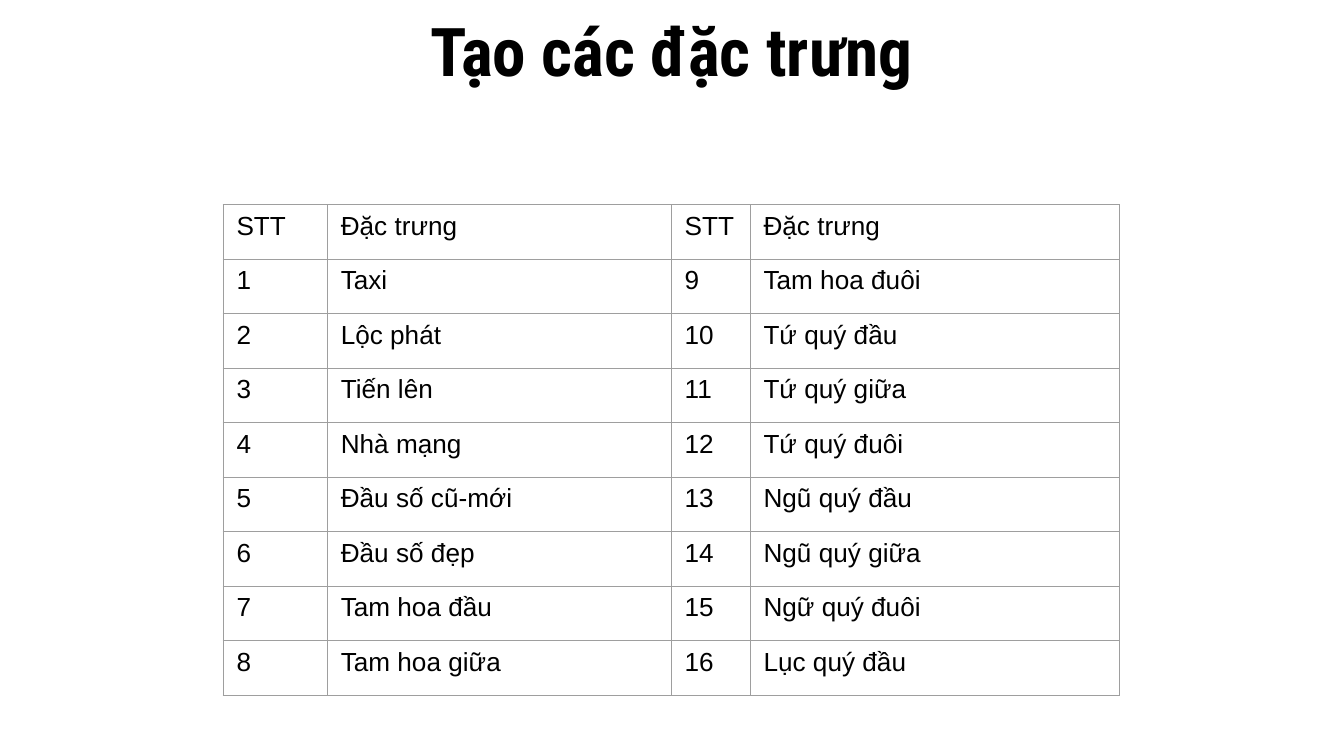
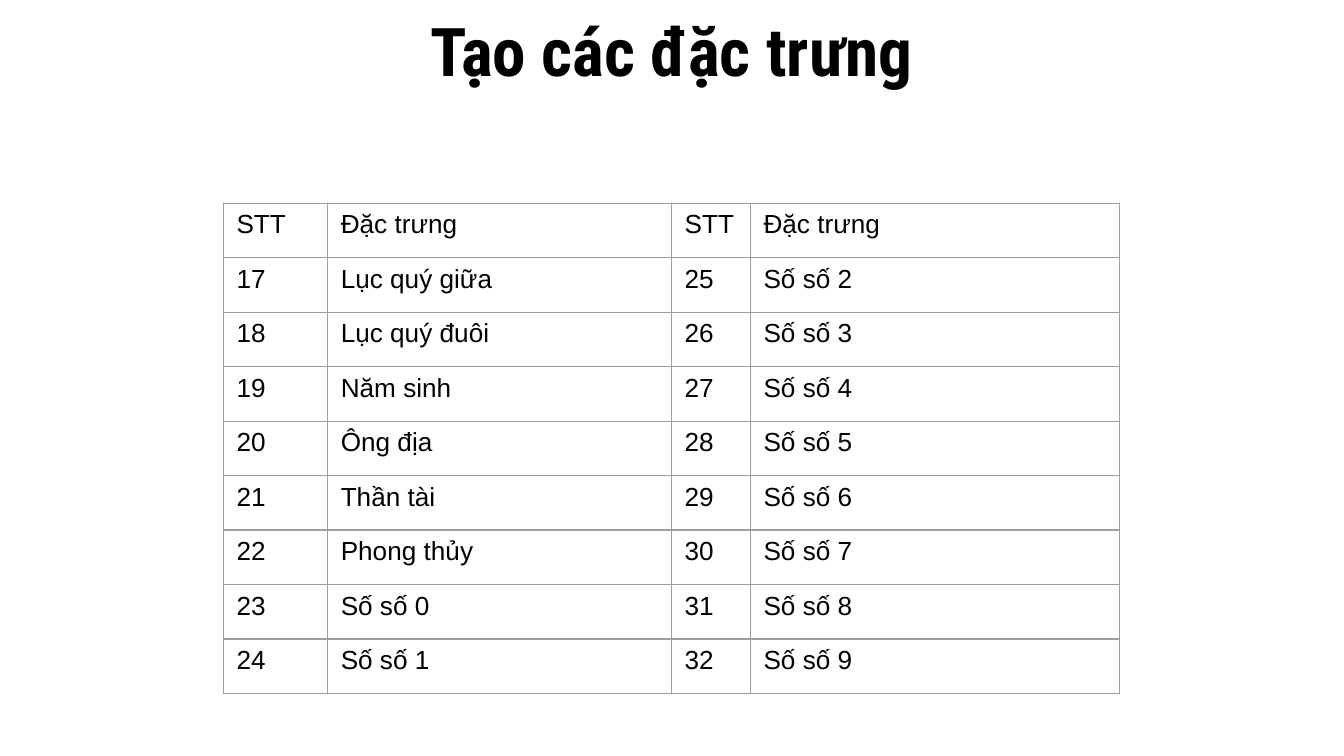
from lxml import etree
from pptx import Presentation
from pptx.dml.color import RGBColor
from pptx.enum.text import MSO_ANCHOR, MSO_AUTO_SIZE, PP_ALIGN
from pptx.oxml.ns import qn
from pptx.util import Cm, Pt

LEFT, CENTER = PP_ALIGN.LEFT, PP_ALIGN.CENTER
TOP, MIDDLE = MSO_ANCHOR.TOP, MSO_ANCHOR.MIDDLE
NO_FIT = MSO_AUTO_SIZE.NONE

BLACK = RGBColor(0x00, 0x00, 0x00)
GREY = RGBColor(0x9E, 0x9E, 0x9E)
TITLE_FONT = "Roboto Condensed"
BODY_FONT = "Arial"
TITLE = "Tạo các đặc trưng"
HEADERS = ["STT", "Đặc trưng"]
COL_WIDTHS = [1.97, 6.5, 1.49, 6.98]
ROW_HEIGHT = 1.03
TITLE_BOX = (7.47, 0.41, 10.44, 1.04)

FEATURE_SLIDES = [
    (1, 3.87, [
        "Taxi", "Lộc phát", "Tiến lên", "Nhà mạng",
        "Đầu số cũ-mới", "Đầu số đẹp", "Tam hoa đầu", "Tam hoa giữa",
        "Tam hoa đuôi", "Tứ quý đầu", "Tứ quý giữa", "Tứ quý đuôi",
        "Ngũ quý đầu", "Ngũ quý giữa", "Ngữ quý đuôi", "Lục quý đầu",
    ]),
    (17, 3.84, [
        "Lục quý giữa", "Lục quý đuôi", "Năm sinh", "Ông địa",
        "Thần tài", "Phong thủy",
    ] + [f"Số số {digit}" for digit in range(10)]),
]


def write(tf, text, font=BODY_FONT, size=14, bold=False, align=LEFT):
    p = tf.paragraphs[0]
    p.alignment = align
    r = p.add_run()
    r.text = text
    r.font.name = font
    r.font.size = Pt(size)
    r.font.bold = bold
    r.font.color.rgb = BLACK


def add_title(s, left, top, width, height):
    sp = s.shapes.title
    sp.left, sp.top, sp.width, sp.height = Cm(left), Cm(top), Cm(width), Cm(height)
    tf = sp.text_frame
    tf.word_wrap = True
    tf.auto_size = NO_FIT
    tf.vertical_anchor = MIDDLE
    tf.margin_left = tf.margin_right = tf.margin_top = tf.margin_bottom = Cm(0.25)
    write(tf, TITLE, font=TITLE_FONT, size=36, bold=True, align=CENTER)


def set_borders(cell):
    tc_pr = cell._tc.get_or_add_tcPr()
    for index, side in enumerate(("a:lnL", "a:lnR", "a:lnT", "a:lnB")):
        ln = etree.Element(qn(side), w=str(Pt(0.75)))
        fill = etree.SubElement(ln, qn("a:solidFill"))
        etree.SubElement(fill, qn("a:srgbClr"), val=str(GREY))
        tc_pr.insert(index, ln)


def add_cell(cell, text):
    cell.fill.background()
    set_borders(cell)
    cell.margin_left = cell.margin_right = Cm(0.25)
    cell.margin_top = cell.margin_bottom = Cm(0.13)
    cell.vertical_anchor = TOP
    write(cell.text_frame, text)


def add_feature_table(s, left, top, first, features):
    half = len(features) // 2
    numbered = [[str(n), name] for n, name in enumerate(features, first)]
    rows = [HEADERS * 2] + [a + b for a, b in zip(numbered[:half], numbered[half:])]
    table = s.shapes.add_table(
        len(rows), len(COL_WIDTHS), Cm(left), Cm(top),
        Cm(sum(COL_WIDTHS)), Cm(ROW_HEIGHT * len(rows))).table
    table.first_row = table.horz_banding = False
    for column, width in zip(table.columns, COL_WIDTHS):
        column.width = Cm(width)
    for i, texts in enumerate(rows):
        table.rows[i].height = Cm(ROW_HEIGHT)
        for j, text in enumerate(texts):
            add_cell(table.cell(i, j), text)


def main():
    prs = Presentation()
    prs.slide_width, prs.slide_height = Cm(25.4), Cm(14.29)
    for first, top, features in FEATURE_SLIDES:
        s = prs.slides.add_slide(prs.slide_layouts[5])
        add_title(s, *TITLE_BOX)
        add_feature_table(s, 4.22, top, first, features)
    prs.save("out.pptx")


if __name__ == "__main__":
    main()
